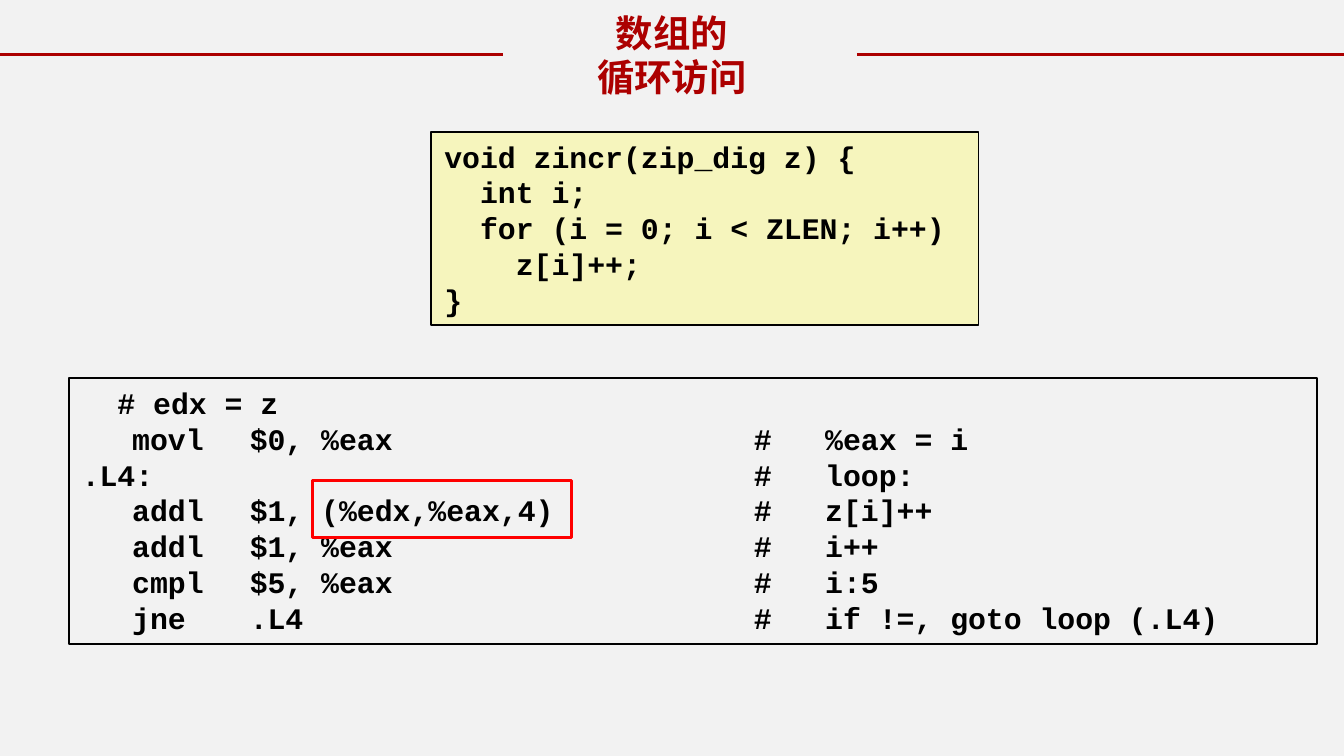
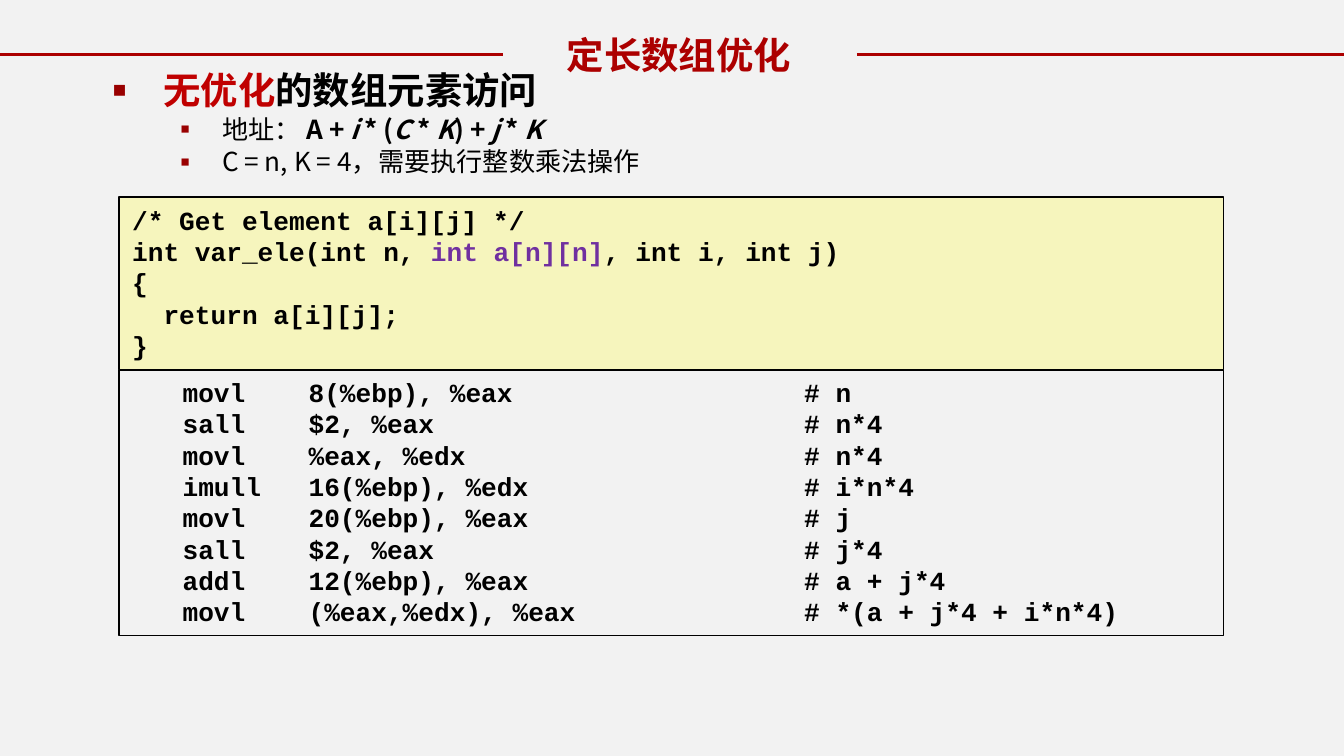
from dataclasses import dataclass

from lxml.etree import SubElement
from pptx import Presentation
from pptx.dml.color import RGBColor
from pptx.enum.shapes import MSO_CONNECTOR, MSO_SHAPE
from pptx.enum.text import MSO_ANCHOR, MSO_AUTO_SIZE, PP_ALIGN
from pptx.oxml.ns import qn
from pptx.util import Pt

PX = 9525  # EMU per px, 96 px to the inch


@dataclass(frozen=True)
class Theme:
    background: str = "F2F2F2"
    title: str = "AC0000"
    accent: str = "C00000"
    bullet: str = "990000"
    ink: str = "000000"
    source: str = "F6F5BD"
    highlight: str = "FF0000"
    parameter: str = "7030A0"
    sans: str = "Noto Sans CJK SC"
    mono: str = "Courier New"
    large: int = 20
    code: int = 16
    small: int = 14


THEME = Theme()
TITLE_ONLY, TITLE_AND_BODY = 5, 1

ZINCR_C = """void zincr(zip_dig z) {
  int i;
  for (i = 0; i < ZLEN; i++)
    z[i]++;
}"""

ZINCR_ASM = """  # edx = z
\tmovl\t$0, %eax\t#\t%eax = i
.L4:\t\t#\tloop:
\taddl\t$1, (%edx,%eax,4)\t#\tz[i]++
\taddl\t$1, %eax\t#\ti++
\tcmpl\t$5, %eax\t#\ti:5
\tjne\t.L4\t#\tif !=, goto loop (.L4)"""

VAR_ELE_C = """/* Get element a[i][j] */
int var_ele(int n, int a[n][n], int i, int j)
{
  return a[i][j];
}"""

VAR_ELE_ASM = """\tmovl\t8(%ebp), %eax\t# n
\tsall\t$2, %eax\t# n*4
\tmovl\t%eax, %edx\t# n*4
\timull\t16(%ebp), %edx\t# i*n*4
\tmovl\t20(%ebp), %eax\t# j
\tsall\t$2, %eax\t# j*4
\taddl\t12(%ebp), %eax\t# a + j*4
\tmovl\t(%eax,%edx), %eax\t# *(a + j*4 + i*n*4)"""


def rgb(color):
    return RGBColor.from_string(color)


def emu(*lengths):
    return [n * PX for n in lengths]


def place(sp, box):
    sp.left, sp.top, sp.width, sp.height = emu(*box)


def style(r, font, size, color, bold=True, italic=False):
    f = r.font
    f.name, f.size, f.bold, f.italic = font, Pt(size), bold, italic
    f.color.rgb = rgb(color)
    if font == THEME.sans:
        SubElement(r._r.get_or_add_rPr(), qn("a:ea"), typeface=font)


def add_runs(p, parts):
    for text in parts:
        p.add_run().text = text
    return p.runs


# Slide frame: title between two rules
def add_rule(s, x1, x2, y):
    line = s.shapes.add_connector(MSO_CONNECTOR.STRAIGHT, *emu(x1, y, x2, y))
    line.line.color.rgb = rgb(THEME.title)
    line.line.width = Pt(2)
    SubElement(line._element.spPr, qn("a:effectLst"))


def add_slide(prs, layout, title, box):
    s = prs.slides.add_slide(prs.slide_layouts[layout])
    add_rule(s, 0, 359, 39)
    add_rule(s, 612, 960, 39)
    place(s.shapes.title, box)
    tf = s.shapes.title.text_frame
    tf.text = title
    tf.auto_size = MSO_AUTO_SIZE.NONE
    tf.vertical_anchor = MSO_ANCHOR.MIDDLE
    for p in tf.paragraphs:
        p.alignment = PP_ALIGN.CENTER
        style(p.runs[0], THEME.sans, THEME.large, THEME.title)
    return s


# Rectangles and code listings
def add_box(s, box, fill, line, width):
    sp = s.shapes.add_shape(MSO_SHAPE.RECTANGLE, *emu(*box))
    sp.shadow.inherit = False
    if fill:
        sp.fill.solid()
        sp.fill.fore_color.rgb = rgb(fill)
    else:
        sp.fill.background()
    sp.line.color.rgb = rgb(line)
    sp.line.width = Pt(width)
    return sp


def set_tabs(p, stops):
    tabs = SubElement(p._p.get_or_add_pPr(), qn("a:tabLst"))
    for stop in emu(*stops):
        SubElement(tabs, qn("a:tab"), pos=str(stop), algn="l")


def add_code(s, box, code, fill, size, tabs=(), marked=None):
    tf = add_box(s, box, fill, THEME.ink, 1).text_frame
    tf.word_wrap = True
    tf.vertical_anchor = MSO_ANCHOR.TOP
    tf.text = code
    for p in tf.paragraphs:
        p.alignment = PP_ALIGN.LEFT
        if tabs:
            set_tabs(p, tabs)
        if marked and marked in p.text:
            before, after = p.text.split(marked)
            p.text = ""
            add_runs(p, (before, marked, after))
        for r in p.runs:
            color = THEME.parameter if r.text == marked else THEME.ink
            style(r, THEME.mono, size, color)


# Bulleted list
def set_bullet(p, char, percent, left, hang):
    pPr = p._p.get_or_add_pPr()
    pPr.set("marL", str(left * PX))
    pPr.set("indent", str(-hang * PX))
    color = SubElement(pPr, qn("a:buClr"))
    SubElement(color, qn("a:srgbClr"), val=THEME.bullet)
    SubElement(pPr, qn("a:buSzPct"), val=str(percent * 1000))
    SubElement(pPr, qn("a:buChar"), char=char)


def add_item(p, parts, level=0):
    p.level = level
    if level:
        set_bullet(p, "▪", 110, 78, 30)
    else:
        set_bullet(p, "■", 60, 36, 36)
        p.space_before = Pt(0)
    p.line_spacing = 0.86
    return add_runs(p, parts)


def add_access_list(s, box):
    sp = s.placeholders[1]
    place(sp, box)
    tf = sp.text_frame
    tf.auto_size = MSO_AUTO_SIZE.NONE
    tf.vertical_anchor = MSO_ANCHOR.TOP

    heading = add_item(tf.paragraphs[0], ("无优化", "的数组元素访问"))
    for r, color in zip(heading, (THEME.accent, THEME.ink)):
        style(r, THEME.sans, THEME.large, color)

    formula = ("地址：", " A + ", "i ", "* (", "C ", "* ", "K", ") + ", "j", " * ", "K")
    for i, r in enumerate(add_item(tf.add_paragraph(), formula, 1)):
        italic = r.text.strip() in ("i", "j", "C", "K")
        style(r, THEME.sans, THEME.small, THEME.ink, i > 0, italic)

    for r in add_item(tf.add_paragraph(), ("C = n, K = 4，需要执行整数乘法操作",), 1):
        style(r, THEME.sans, THEME.small, THEME.ink, False)


def array_loop_slide(prs):
    s = add_slide(prs, TITLE_ONLY, "数组的\n循环访问", (400, 2, 160, 74))
    add_code(s, (49, 270, 892, 190), ZINCR_ASM, THEME.background, THEME.code,
             (36, 120, 480, 531))
    add_code(s, (308, 94, 391, 138), ZINCR_C, THEME.source, THEME.code)
    add_box(s, (223, 343, 185, 41), None, THEME.highlight, 1.5)


def array_access_slide(prs):
    s = add_slide(prs, TITLE_AND_BODY, "定长数组优化", (378, 18, 214, 42))
    add_access_list(s, (71, 48, 818, 93))
    add_code(s, (85, 141, 789, 123), VAR_ELE_C, THEME.source, THEME.small,
             marked="int a[n][n]")
    add_code(s, (85, 264, 789, 190), VAR_ELE_ASM, THEME.background, THEME.small,
             (36, 126, 480))


def main():
    prs = Presentation()
    prs.slide_width, prs.slide_height = emu(960, 540)
    fill = prs.slide_master.background.fill
    fill.solid()
    fill.fore_color.rgb = rgb(THEME.background)
    array_loop_slide(prs)
    array_access_slide(prs)
    prs.save("out.pptx")


if __name__ == "__main__":
    main()
